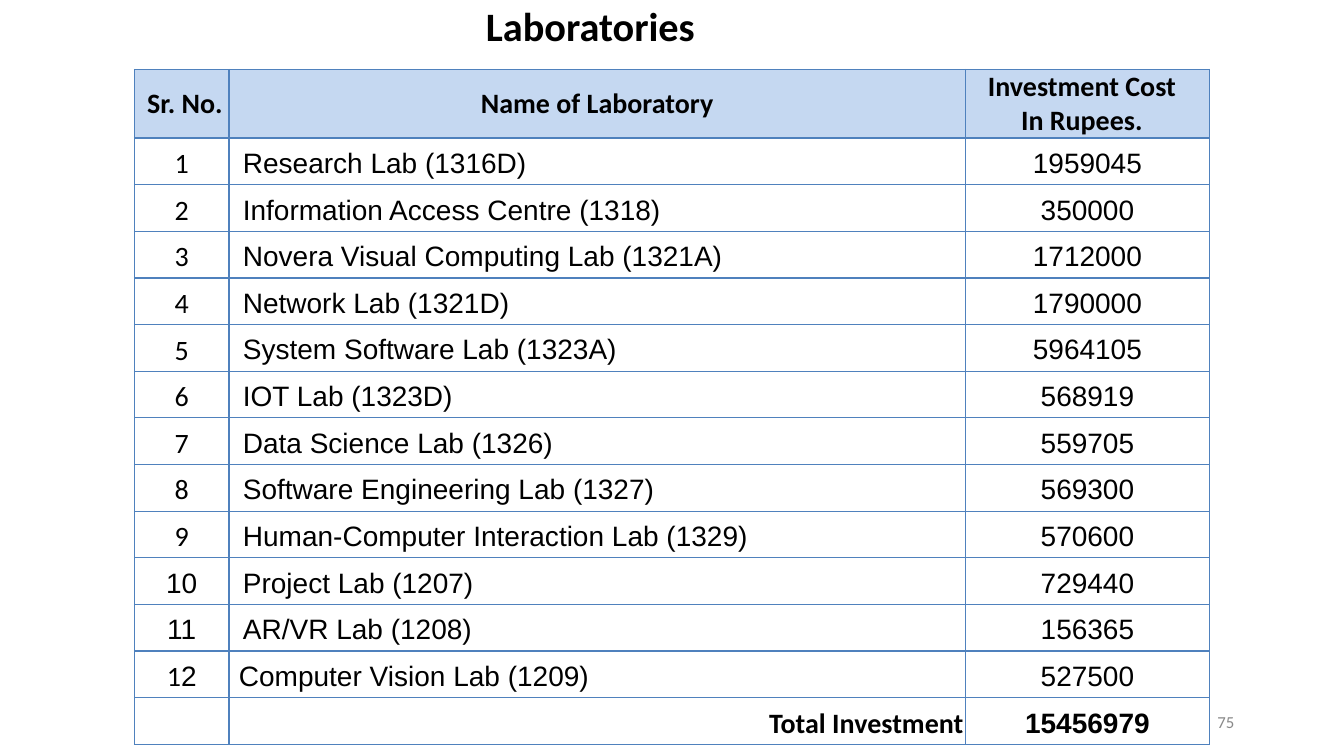
from dataclasses import dataclass

from lxml.etree import SubElement
from pptx import Presentation
from pptx.dml.color import RGBColor
from pptx.enum.text import MSO_ANCHOR as Anchor, PP_ALIGN as Align
from pptx.oxml import parse_xml
from pptx.oxml.ns import nsdecls, qn
from pptx.util import Cm, Pt

TITLE = "Laboratories"
HEADERS = [["Sr. No."], ["Name of Laboratory"], ["Investment Cost", "In Rupees."]]
LABORATORIES = [
    ("Research Lab (1316D)", 1959045),
    ("Information Access Centre (1318)", 350000),
    ("Novera Visual Computing Lab (1321A)", 1712000),
    ("Network Lab (1321D)", 1790000),
    ("System Software Lab (1323A)", 5964105),
    ("IOT Lab (1323D)", 568919),
    ("Data Science Lab (1326)", 559705),
    ("Software Engineering Lab (1327)", 569300),
    ("Human-Computer Interaction Lab (1329)", 570600),
    ("Project Lab (1207)", 729440),
    ("AR/VR Lab (1208)", 156365),
    ("Computer Vision Lab (1209)", 527500),
]
TOTAL_LABEL, TOTAL_COST = "Total Investment", "15456979"
PAGE_NUMBER = "75"


@dataclass(frozen=True)
class Theme:
    """Colours, fonts and type sizes of the slide."""
    text: str = "000000"
    muted: str = "898989"
    header: str = "C5D8F1"
    border: str = "4F81BD"
    heading_font: str = "Calibri"
    body_font: str = "Arial"
    title_size: float = 28.8
    table_size: float = 20
    page_size: float = 12


THEME = Theme()
COLUMN_WIDTHS = [Cm(2.38), Cm(18.56), Cm(6.15)]
TABLE_LEFT, TABLE_TOP, TABLE_HEIGHT = Cm(3.39), Cm(1.75), Cm(17)
HEADER_HEIGHT = Cm(1.72)
SERIAL_INDENT, COST_INDENT = Cm(0.16), Cm(0.28)
NAME_INDENT, LAST_NAME_INDENT = Cm(0.3), Cm(0.2)
CELL_MARGINS = {"margin_left": Cm(0.05), "margin_right": Cm(0.05), "margin_top": 0, "margin_bottom": 0}


def apply(target, formats):
    """Set each attribute named in formats on the target."""
    for name, value in formats.items():
        setattr(target, name, value)


def write(paragraph, runs, alignment=Align.CENTER, size=THEME.table_size, bold=False, color=THEME.text,
          spacing=None, left=0, right=0):
    """Fill a paragraph with (text, font) runs and format it."""
    apply(paragraph, {"alignment": alignment, "line_spacing": spacing})
    properties = paragraph._p.get_or_add_pPr()
    for name, indent in (("marL", left), ("marR", right)):
        if indent:
            properties.set(name, str(indent))
    for text, font in runs:
        run = paragraph.add_run()
        run.text = text
        apply(run.font, {"name": font, "size": Pt(size), "bold": bold})
        run.font.color.rgb = RGBColor.from_string(color)


def format_cell(cell, fill=None):
    """Give a cell its margins, fill and four borders."""
    apply(cell, {"vertical_anchor": Anchor.MIDDLE, **CELL_MARGINS})
    if fill:
        cell.fill.solid()
        cell.fill.fore_color.rgb = RGBColor.from_string(fill)
    else:
        cell.fill.background()
    properties = cell._tc.get_or_add_tcPr()
    for position, side in enumerate(("lnL", "lnR", "lnT", "lnB")):
        line = parse_xml(f'<a:{side} {nsdecls("a")} w="{Pt(1)}"/>')
        SubElement(SubElement(line, qn("a:solidFill")), qn("a:srgbClr"), val=THEME.border)
        properties.insert(position, line)


def serial_runs(number):
    """Return the runs of a serial number with their fonts."""
    if number == len(LABORATORIES):
        return [("1", THEME.heading_font), ("2", THEME.body_font)]
    return [(str(number), THEME.heading_font if number < 10 else THEME.body_font)]


def add_title(slide):
    """Place and format the slide title."""
    title = slide.shapes.title
    apply(title, {"left": Cm(-0.36), "top": 0, "width": Cm(30.48), "height": Cm(1.27)})
    title.text_frame.vertical_anchor = Anchor.MIDDLE
    write(title.text_frame.paragraphs[0], [(TITLE, THEME.heading_font)], size=THEME.title_size, bold=True)


def add_laboratory_table(slide):
    """Build the table of laboratories and their costs."""
    row_count = len(LABORATORIES) + 2
    table = slide.shapes.add_table(row_count, len(HEADERS), TABLE_LEFT, TABLE_TOP,
                                   sum(COLUMN_WIDTHS), TABLE_HEIGHT).table
    apply(table, {"first_row": False, "horz_banding": False})
    for column, width in zip(table.columns, COLUMN_WIDTHS):
        column.width = width
    for index, row in enumerate(table.rows):
        row.height = HEADER_HEIGHT if index == 0 else (TABLE_HEIGHT - HEADER_HEIGHT) // (row_count - 1)
        for cell in row.cells:
            format_cell(cell, THEME.header if index == 0 else None)

    for column, lines in enumerate(HEADERS):
        frame = table.cell(0, column).text_frame
        for index, line in enumerate(lines):
            paragraph = frame.add_paragraph() if index else frame.paragraphs[0]
            write(paragraph, [(line, THEME.heading_font)], bold=True,
                  left=SERIAL_INDENT if column == 0 else 0,
                  right=COST_INDENT if column == 2 and index == 0 else 0)

    for number, (name, cost) in enumerate(LABORATORIES, 1):
        serial, label, value = (table.cell(number, column).text_frame.paragraphs[0] for column in range(3))
        indent = LAST_NAME_INDENT if number == len(LABORATORIES) else NAME_INDENT
        write(serial, serial_runs(number), spacing=1.15)
        write(label, [(name, THEME.body_font)], Align.LEFT, spacing=1.15, left=indent)
        write(value, [(str(cost), THEME.body_font)], spacing=1.15)

    label, value = (table.cell(row_count - 1, column).text_frame.paragraphs[0] for column in (1, 2))
    write(label, [(TOTAL_LABEL, THEME.heading_font)], Align.RIGHT, bold=True, spacing=1.15)
    write(value, [(TOTAL_COST, THEME.body_font)], bold=True, spacing=1.15)


def add_page_number(slide):
    """Place the page number beside the table."""
    frame = slide.shapes.add_textbox(Cm(29.41), Cm(17.65), Cm(2.97), Cm(1.07)).text_frame
    apply(frame, {"word_wrap": True, "vertical_anchor": Anchor.MIDDLE})
    write(frame.paragraphs[0], [(PAGE_NUMBER, THEME.heading_font)], size=THEME.page_size, color=THEME.muted)


def main():
    """Build and save the presentation."""
    presentation = Presentation()
    apply(presentation, {"slide_width": Cm(33.87), "slide_height": Cm(19.05)})
    slide = presentation.slides.add_slide(presentation.slide_layouts[5])
    add_title(slide)
    add_laboratory_table(slide)
    add_page_number(slide)
    presentation.save("out.pptx")


if __name__ == "__main__":
    main()
